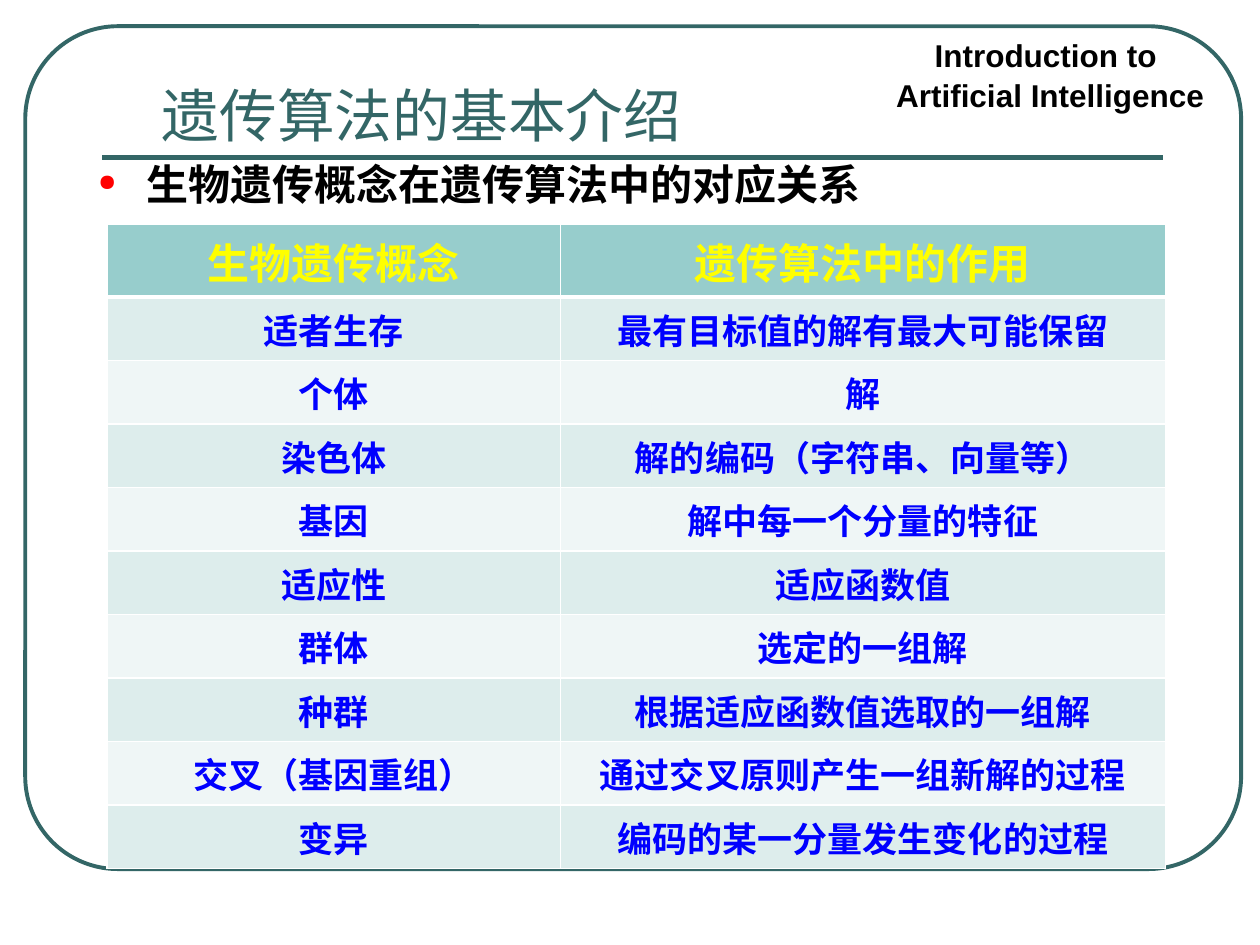
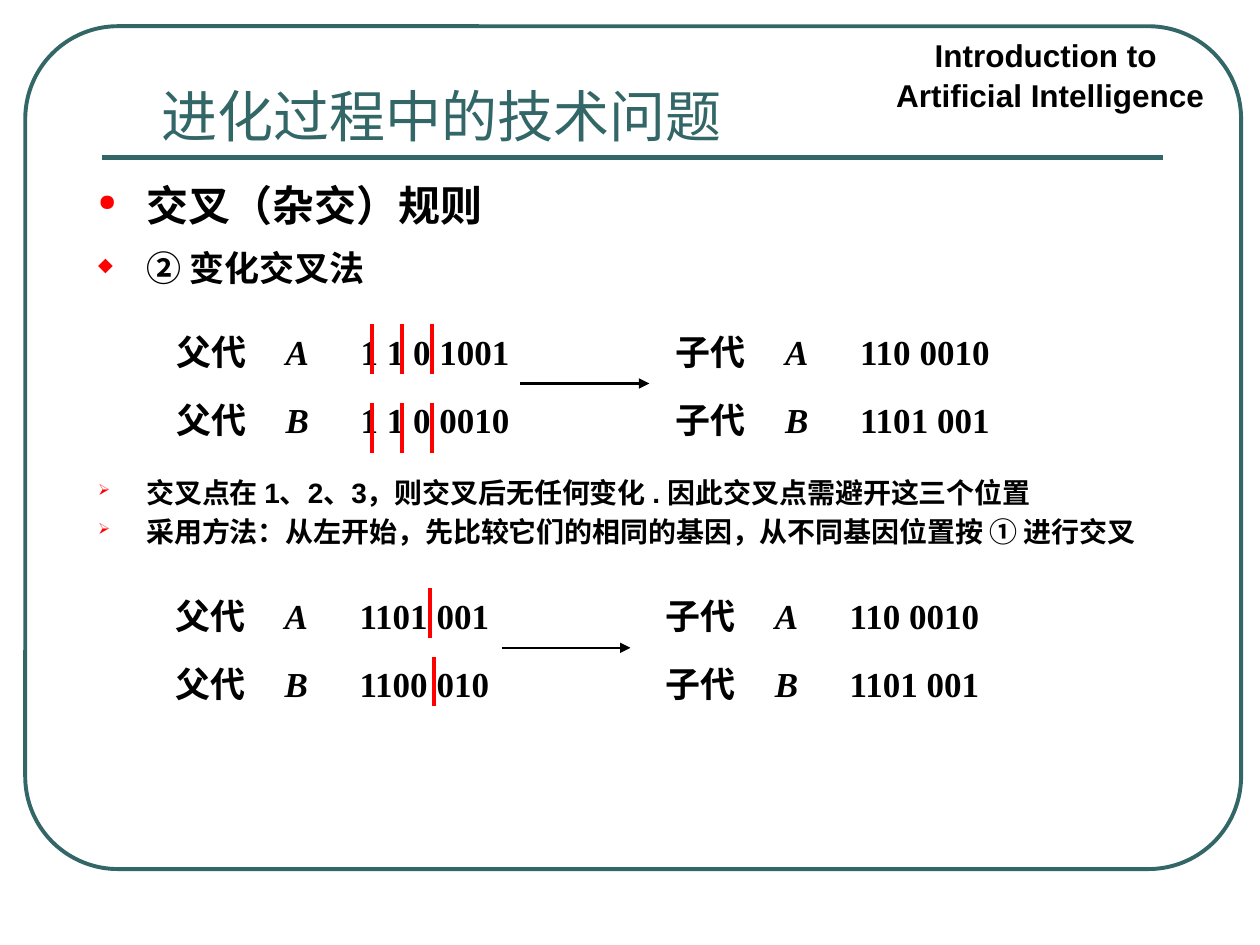
from lxml import etree
from pptx import Presentation
from pptx import util as u
from pptx.dml.color import RGBColor
from pptx.enum import shapes, text
from pptx.oxml import ns

TEAL, BLACK, RED, WHITE = "336666", "000000", "FF0000", "FFFFFF"
HEADER_FILL, BAND_FILLS = "97CDCC", ("DDEDEC", "EFF6F6")
YELLOW, BLUE = "FFFF00", "0000FF"
SANS, SERIF = "Arial", "Times New Roman"

CONCEPTS = [
    ("生物遗传概念", "遗传算法中的作用"),
    ("适者生存", "最有目标值的解有最大可能保留"),
    ("个体", "解"),
    ("染色体", "解的编码（字符串、向量等）"),
    ("基因", "解中每一个分量的特征"),
    ("适应性", "适应函数值"),
    ("群体", "选定的一组解"),
    ("种群", "根据适应函数值选取的一组解"),
    ("交叉（基因重组）", "通过交叉原则产生一组新解的过程"),
    ("变异", "编码的某一分量发生变化的过程"),
]
CHILDREN = ("110 0010", "1101 001")


def rgb(value):
    return RGBColor.from_string(value)


def child(parent, tag, **attrs):
    return etree.SubElement(parent, ns.qn(tag), attrs)


def format_runs(p, size, color=BLACK, font=SANS, bold=True):
    for r in p.runs:
        r.font.size = u.Pt(size)
        r.font.name = font
        r.font.bold = bold
        r.font.color.rgb = rgb(color)


def add_box(s, left, top, width, height, wrap=True):
    sp = s.shapes.add_textbox(u.Cm(left), u.Cm(top), u.Cm(width), u.Cm(height))
    sp.text_frame.word_wrap = wrap
    return sp.text_frame


def add_line(s, start, end, color, width, arrow=False):
    line = s.shapes.add_connector(
        shapes.MSO_CONNECTOR.STRAIGHT, *(u.Cm(v) for v in (*start, *end)))
    line.line.color.rgb = rgb(color)
    line.line.width = u.Pt(width)
    if arrow:
        child(line.line._get_or_add_ln(), "a:tailEnd", type="triangle")
    child(line._element.spPr, "a:effectLst")


def add_frame(s):
    sp = s.shapes.add_shape(shapes.MSO_SHAPE.ROUNDED_RECTANGLE,
                            u.Cm(0.51), u.Cm(0.53), u.Cm(24.51), u.Cm(16.99))
    sp.adjustments[0] = 0.11
    sp.shadow.inherit = False
    sp.fill.background()
    sp.line.color.rgb = rgb(TEAL)
    sp.line.width = u.Pt(2.25)
    add_line(s, (2.06, 3.18), (23.44, 3.18), TEAL, 3)


def add_course_name(s):
    tf = add_box(s, 17.78, 0.56, 6.78, 1.8, wrap=False)
    tf.text = "Introduction to \nArtificial Intelligence"
    for p in tf.paragraphs:
        p.alignment = text.PP_ALIGN.CENTER
        p.line_spacing = 1.05
        format_runs(p, 18)


def add_titled_slide(prs, title, size):
    s = prs.slides.add_slide(prs.slide_layouts[5])
    add_frame(s)
    add_course_name(s)
    sp = s.shapes.title
    sp.left, sp.top, sp.width, sp.height = (
        u.Cm(v) for v in (2.69, 1.12, 21.39, 2.01))
    tf = sp.text_frame
    tf.text = title
    tf.auto_size = text.MSO_AUTO_SIZE.NONE
    tf.vertical_anchor = text.MSO_ANCHOR.BOTTOM
    tf.margin_left = u.Cm(0.57)
    tf.paragraphs[0].alignment = text.PP_ALIGN.LEFT
    format_runs(tf.paragraphs[0], size, TEAL, bold=False)
    return s


def add_bullets(s, top, height, items, gap=0, line_spacing=None):
    tf = add_box(s, 1.73, top, 22.35, height)
    tf.text = "\n".join(words for _, words, _ in items)
    for i, (p, (mark, _, size)) in enumerate(zip(tf.paragraphs, items)):
        pPr = p._p.get_or_add_pPr()
        pPr.set("marL", str(u.Cm(0.97)))
        pPr.set("indent", str(-u.Cm(0.97)))
        child(child(pPr, "a:buClr"), "a:srgbClr", val=RED)
        child(pPr, "a:buSzPct", val="55000")
        child(pPr, "a:buChar", char=mark)
        if i and gap:
            p.space_before = u.Pt(gap)
        if line_spacing:
            p.line_spacing = u.Pt(line_spacing)
        format_runs(p, size)


def set_borders(cell, bottom):
    tcPr = cell._tc.get_or_add_tcPr()
    for i, (side, width) in enumerate(
            (("L", 1), ("R", 1), ("T", 1), ("B", bottom))):
        ln = etree.Element(ns.qn(f"a:ln{side}"), w=str(u.Pt(width)))
        child(child(ln, "a:solidFill"), "a:srgbClr", val=WHITE)
        tcPr.insert(i, ln)


def fill_cell(cell, words, size, color, fill, bottom):
    cell.text = words
    cell.vertical_anchor = text.MSO_ANCHOR.MIDDLE
    cell.fill.solid()
    cell.fill.fore_color.rgb = rgb(fill)
    set_borders(cell, bottom)
    p = cell.text_frame.paragraphs[0]
    p.alignment = text.PP_ALIGN.CENTER
    format_runs(p, size, color)


def add_concept_table(s):
    table = s.shapes.add_table(len(CONCEPTS), 2, u.Cm(2.16), u.Cm(4.52),
                               u.Cm(21.33), u.Cm(12.99)).table
    table.horz_banding = False
    for column, width in zip(table.columns, (9.14, 12.19)):
        column.width = u.Cm(width)
    for i, words in enumerate(CONCEPTS):
        table.rows[i].height = u.Cm(1.28 if i else 1.47)
        if i:
            style = (20, BLUE, BAND_FILLS[(i - 1) % 2], 1)
        else:
            style = (24, YELLOW, HEADER_FILL, 3)
        for j, word in enumerate(words):
            fill_cell(table.cell(i, j), word, *style)


def add_gene(s, left, top, role, name, code):
    tf = add_box(s, left, top, 7.4, 1.12)
    p = tf.paragraphs[0]
    tabs = child(p._p.get_or_add_pPr(), "a:tabLst")
    for stop in (2.21, 3.72):
        child(tabs, "a:tab", pos=str(u.Cm(stop)), algn="l")
    for part in (f"{role}\t", name, f"\t{code}"):
        p.add_run().text = part
    format_runs(p, 20, font=SERIF)
    p.runs[1].font.italic = True


def add_crossover(s, top, parent_left, child_left, arrow_left, parents):
    for role, left, codes in (("父代", parent_left, parents),
                              ("子代", child_left, CHILDREN)):
        for i, (name, code) in enumerate(zip("AB", codes)):
            add_gene(s, left, top + i * 1.38, role, name, code)
    add_line(s, (arrow_left, top + 1.2), (arrow_left + 2.6, top + 1.2),
             BLACK, 1.5, arrow=True)


def add_cut(s, x, top):
    add_line(s, (x, top), (x, top + 1), RED, 2.25)


def build_concepts(prs):
    s = add_titled_slide(prs, "遗传算法的基本介绍", 33)
    add_bullets(s, 3.08, 1.4, [("●", "生物遗传概念在遗传算法中的对应关系", 24)])
    add_concept_table(s)


def build_crossover_rules(prs):
    s = add_titled_slide(prs, "进化过程中的技术问题", 32)
    add_bullets(s, 3.49, 2.9, [("●", "交叉（杂交）规则", 24),
                               ("◆", "② 变化交叉法", 20)], gap=9.5)
    add_bullets(s, 9.35, 1.8, [
        ("➢", "交叉点在 1、2、3，则交叉后无任何变化 . 因此交叉点需避开这三个位置", 16),
        ("➢", "采用方法：从左开始，先比较它们的相同的基因，从不同基因位置按 ① 进行交叉", 16),
    ], line_spacing=22.3)

    add_crossover(s, 6.53, 3.3, 13.37, 10.49, ("1 1 0 1001", "1 1 0 0010"))
    for i in range(3):
        for top in (6.53, 8.13):
            add_cut(s, 7.49 + i * 0.61, top)

    add_crossover(s, 11.86, 3.28, 13.16, 10.11, ("1101 001", "1100 010"))
    add_cut(s, 8.66, 11.86)
    add_cut(s, 8.74, 13.24)


def main():
    prs = Presentation()
    prs.slide_width, prs.slide_height = u.Cm(25.4), u.Cm(19.05)
    build_concepts(prs)
    build_crossover_rules(prs)
    prs.save("out.pptx")


if __name__ == "__main__":
    main()
